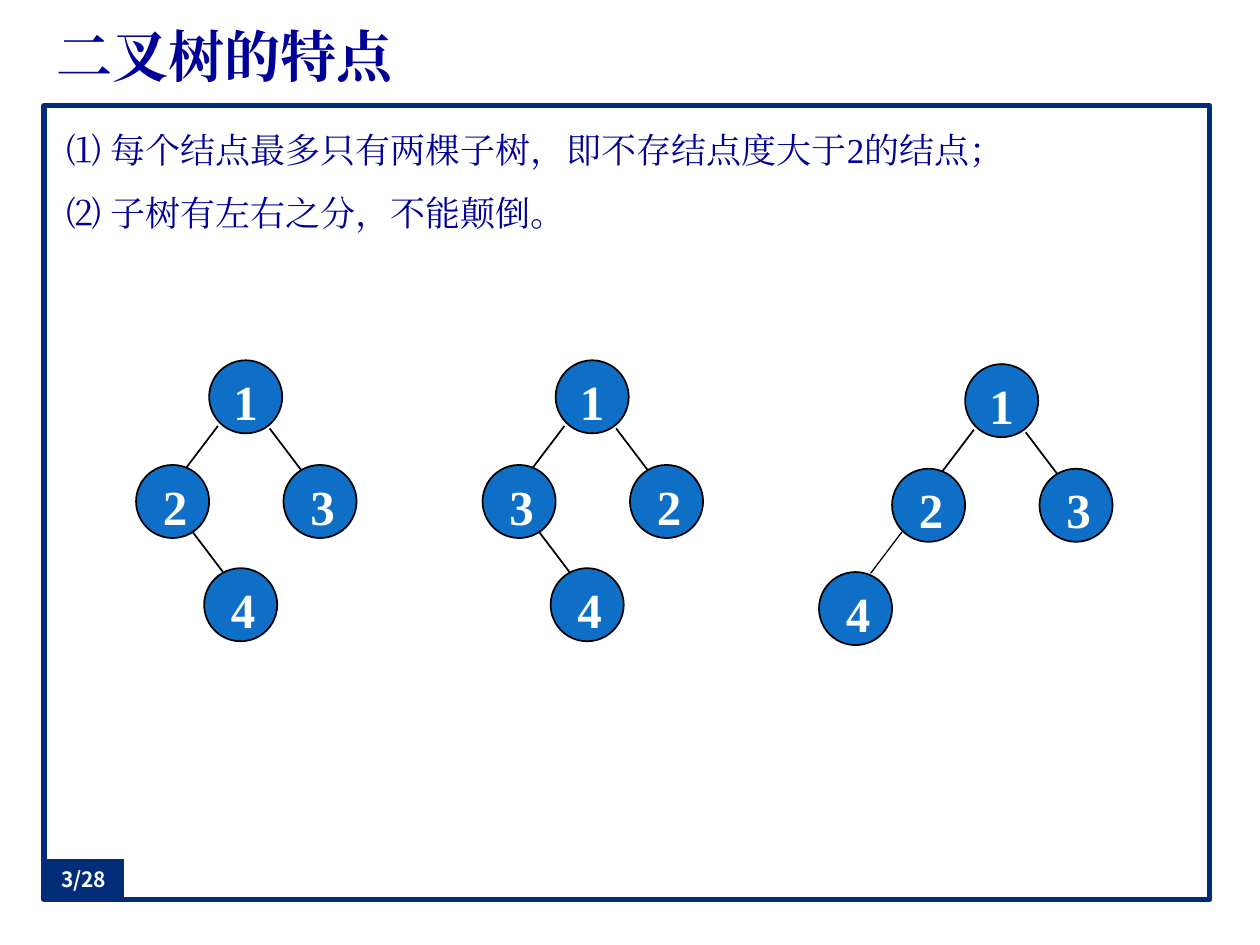
from dataclasses import dataclass

from lxml import etree
from pptx import Presentation
from pptx.dml.color import RGBColor
from pptx.enum import lang, shapes, text
from pptx.oxml import ns
from pptx.util import Inches, Pt


@dataclass(frozen=True)
class Theme:
    serif: str = "Times New Roman"
    sans: str = "Noto Sans CJK SC"
    ink: RGBColor = RGBColor(0x00, 0x00, 0x99)
    navy: RGBColor = RGBColor(0x01, 0x2D, 0x78)
    navy_edge: RGBColor = RGBColor(0x03, 0x2C, 0x75)
    node: RGBColor = RGBColor(0x0F, 0x6F, 0xC6)
    white: RGBColor = RGBColor(0xFF, 0xFF, 0xFF)
    black: RGBColor = RGBColor(0x00, 0x00, 0x00)
    title_size: int = 32
    body_size: int = 20
    node_size: int = 28
    page_size: int = 12


THEME = Theme()

NODE_SIZE = 0.58
NODE_AT = {
    "root": (0.58, 0),
    "left": (0, 0.83),
    "right": (1.17, 0.83),
    "inner_leaf": (0.54, 1.65),
    "outer_leaf": (-0.58, 1.65),
}
BRANCH_START = {
    "left": (0.65, 0.52),
    "right": (1.06, 0.54),
    "inner_leaf": (0.44, 1.35),
    "outer_leaf": (0.08, 1.33),
}
BRANCH_RUN, BRANCH_DROP = 0.25, 0.33


def inches(*lengths):
    return [Inches(length) for length in lengths]


def add_run(paragraph, words, size, color, font, bold=False):
    run = paragraph.add_run()
    run.text = words
    run.font.size = Pt(size)
    run.font.color.rgb = color
    run.font.bold = bold
    run.font.name = font
    run.font.language_id = lang.MSO_LANGUAGE_ID.SIMPLIFIED_CHINESE
    east_asian = etree.SubElement(run.font._element, ns.qn("a:ea"))
    east_asian.set("typeface", font)


def add_filled(parent, kind, box, fill, line, width):
    part = parent.add_shape(kind, *inches(*box))
    part.shadow.inherit = False
    part.fill.solid()
    part.fill.fore_color.rgb = fill
    part.line.color.rgb = line
    part.line.width = Pt(width)
    return part


def place_title(slide, box, words):
    title = slide.shapes.title
    title.left, title.top, title.width, title.height = inches(*box)
    frame = title.text_frame
    frame.auto_size = text.MSO_AUTO_SIZE.NONE
    frame.vertical_anchor = text.MSO_ANCHOR.MIDDLE
    paragraph = frame.paragraphs[0]
    paragraph.alignment = text.PP_ALIGN.JUSTIFY
    add_run(paragraph, words, THEME.title_size, THEME.ink, THEME.serif, True)


def place_features(slide, box, features):
    frame = slide.shapes.add_textbox(*inches(*box)).text_frame
    frame.word_wrap = True
    frame.margin_top = frame.margin_bottom = Inches(0.1)
    for index, feature in enumerate(features):
        paragraph = frame.add_paragraph() if index else frame.paragraphs[0]
        paragraph.space_before = paragraph.space_after = Pt(6)
        add_run(paragraph, feature, THEME.body_size, THEME.ink, THEME.serif)


def add_branch(tree, left, top, slot, width):
    x, y = BRANCH_START[slot]
    run = -BRANCH_RUN if slot in ("left", "outer_leaf") else BRANCH_RUN
    x, y = left + x, top + y
    branch = tree.add_connector(
        shapes.MSO_CONNECTOR.STRAIGHT, *inches(x, y, x + run, y + BRANCH_DROP))
    branch.line.color.rgb = THEME.black
    branch.line.width = Pt(width)
    etree.SubElement(branch._element.spPr, ns.qn("a:effectLst"))


def add_node(tree, left, top, slot, number):
    x, y = NODE_AT[slot]
    x, y = left + x, top + y
    add_filled(tree, shapes.MSO_SHAPE.OVAL, (x, y, NODE_SIZE, NODE_SIZE),
               THEME.node, THEME.black, 1)
    inset, width = (0.09, 0.4) if slot == "root" else (0.1, 0.42)
    frame = tree.add_textbox(*inches(x + inset, y + 0.04, width, 0.57)).text_frame
    frame.word_wrap = slot != "root"
    paragraph = frame.paragraphs[0]
    paragraph.alignment = text.PP_ALIGN.CENTER
    add_run(paragraph, number, THEME.node_size, THEME.white, THEME.serif, True)


def place_tree(slide, left, top, numbers):
    tree = slide.shapes.add_group_shape().shapes
    for slot in numbers:
        if slot in BRANCH_START:
            add_branch(tree, left, top, slot, 0.75 if slot == "outer_leaf" else 1)
    for slot, number in numbers.items():
        add_node(tree, left, top, slot, number)


def place_page_number(slide, box, words):
    tab = add_filled(slide.shapes, shapes.MSO_SHAPE.RECTANGLE, box,
                     THEME.navy, THEME.navy_edge, 0.75)
    frame = tab.text_frame
    frame.margin_left = frame.margin_right = 0
    frame.margin_top = frame.margin_bottom = 0
    frame.vertical_anchor = text.MSO_ANCHOR.MIDDLE
    paragraph = frame.paragraphs[0]
    paragraph.alignment = text.PP_ALIGN.CENTER
    add_run(paragraph, words, THEME.page_size, THEME.white, THEME.sans, True)


def main():
    deck = Presentation()
    deck.slide_width, deck.slide_height = inches(10, 7.5)
    slide = deck.slides.add_slide(deck.slide_layouts[5])
    place_title(slide, (0.35, 0.13, 9.25, 0.62), "二叉树的特点")
    add_filled(slide.shapes, shapes.MSO_SHAPE.RECTANGLE, (0.35, 0.84, 9.25, 6.3),
               THEME.white, THEME.navy, 3)
    place_features(slide, (0.43, 0.92, 9.06, 6.14), [
        "⑴ 每个结点最多只有两棵子树，即不存结点度大于2的结点；",
        "⑵ 子树有左右之分，不能颠倒。",
    ])
    trees = [
        (1.08, 2.86, {"root": "1", "left": "2", "right": "3", "inner_leaf": "4"}),
        (3.83, 2.86, {"root": "1", "left": "3", "right": "2", "inner_leaf": "4"}),
        (7.08, 2.89, {"root": "1", "left": "2", "right": "3", "outer_leaf": "4"}),
    ]
    for left, top, numbers in trees:
        place_tree(slide, left, top, numbers)
    place_page_number(slide, (0.35, 6.82, 0.63, 0.31), "3/28")
    deck.save("out.pptx")


if __name__ == "__main__":
    main()
